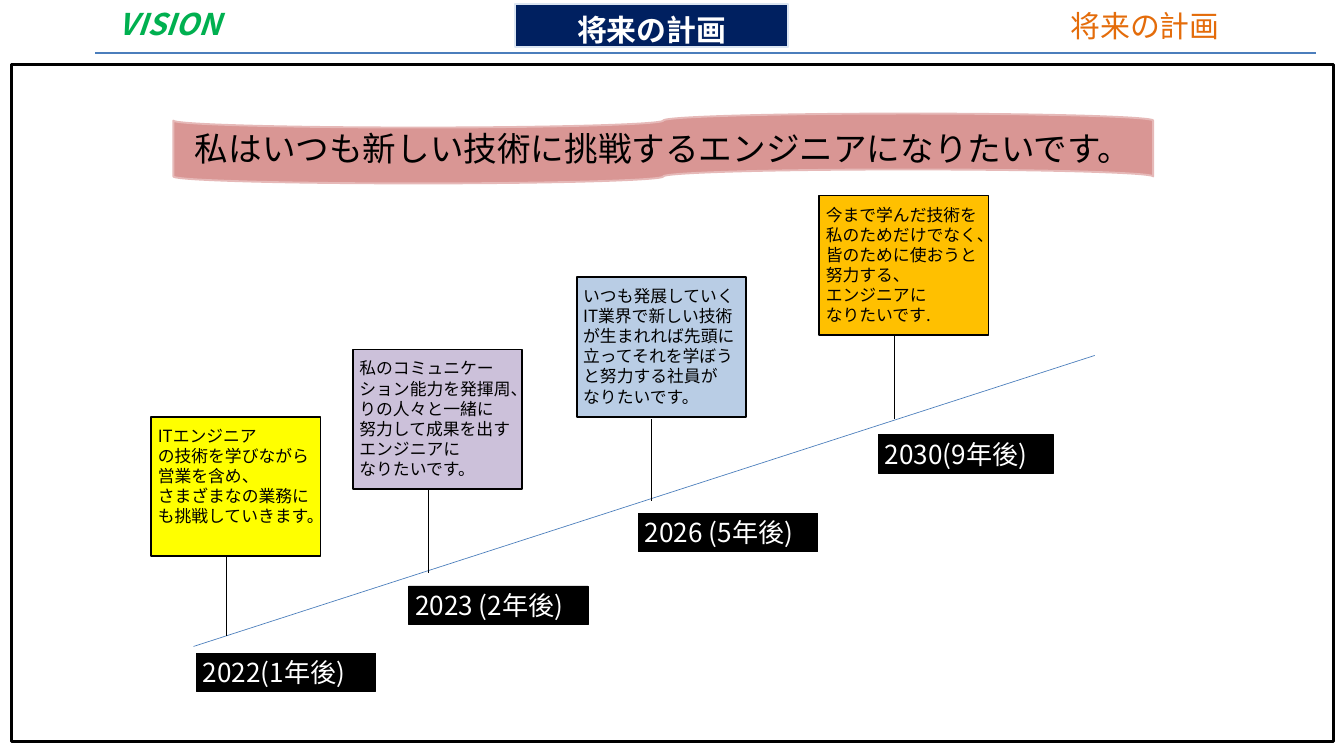
from dataclasses import dataclass

from lxml import etree
from pptx import Presentation
from pptx.dml.color import RGBColor
from pptx.enum.shapes import MSO_CONNECTOR, MSO_SHAPE
from pptx.enum.text import MSO_ANCHOR, MSO_AUTO_SIZE, PP_ALIGN
from pptx.oxml.ns import qn
from pptx.util import Inches, Pt

STRAIGHT = MSO_CONNECTOR.STRAIGHT
RECTANGLE = MSO_SHAPE.RECTANGLE
WAVE = MSO_SHAPE.FLOWCHART_PUNCHED_TAPE
TOP = MSO_ANCHOR.TOP
NO_AUTOFIT = MSO_AUTO_SIZE.NONE
LEFT, CENTER = PP_ALIGN.LEFT, PP_ALIGN.CENTER


@dataclass(frozen=True)
class Theme:
    font: str = "Noto Sans CJK JP"
    black: str = "000000"
    white: str = "FFFFFF"
    navy: str = "002060"
    pale_blue: str = "DCE6F2"
    blue: str = "4B7EBC"
    green: str = "00B050"
    orange: str = "E46C0A"
    banner: str = "D99694"
    banner_edge: str = "E6B9B8"
    card_fills: tuple = ("FFFF00", "CCC1DA", "B9CDE5", "FFC000")
    headline_size: int = 36
    header_size: int = 32
    label_size: int = 28
    card_size: int = 18


theme = Theme()


def paint(shape, fill, line, width):
    shape.fill.solid()
    shape.fill.fore_color.rgb = RGBColor.from_string(fill)
    shape.line.color.rgb = RGBColor.from_string(line)
    shape.line.width = Pt(width)
    shape.shadow.inherit = False


def write(shape, lines, size, color, bold=False, italic=False, align=LEFT):
    frame = shape.text_frame
    frame.word_wrap = True
    frame.auto_size = NO_AUTOFIT
    frame.vertical_anchor = TOP
    for index, line in enumerate(lines):
        paragraph = frame.add_paragraph() if index else frame.paragraphs[0]
        paragraph.text = line
        paragraph.alignment = align
        font = paragraph.font
        font.name = theme.font
        font.size = Pt(size)
        font.bold = bold
        font.italic = italic
        font.color.rgb = RGBColor.from_string(color)
        properties = paragraph._p.pPr.find(qn("a:defRPr"))
        etree.SubElement(properties, qn("a:ea")).set("typeface", theme.font)


presentation = Presentation()
presentation.slide_width = Inches(20)
presentation.slide_height = Inches(11.25)
slide = presentation.slides.add_slide(presentation.slide_layouts[5])
shapes = slide.shapes

title = shapes.title
title.left, title.top = Inches(7.67), Inches(0.06)
title.width, title.height = Inches(4.06), Inches(0.64)
paint(title, theme.navy, theme.pale_blue, 2)
write(title, ["将来の計画"], theme.header_size, theme.white, bold=True, align=CENTER)
title.text_frame.margin_top = Inches(0.11)
title.text_frame.margin_bottom = 0

frame_box = shapes.add_shape(RECTANGLE, Inches(0.17), Inches(0.96), Inches(19.67), Inches(10.08))
paint(frame_box, theme.white, theme.black, 3)

banner = shapes.add_shape(WAVE, Inches(2.58), Inches(1.69), Inches(14.58), Inches(1.04))
paint(banner, theme.banner, theme.banner_edge, 2)
headline = shapes.add_textbox(Inches(2.58), Inches(1.85), Inches(16), Inches(0.71))
write(headline, ["私はいつも新しい技術に挑戦するエンジニアになりたいです。"],
      theme.headline_size, theme.black)
headline.text_frame.margin_left = Inches(0.32)

milestones = [
    {"card": (2.25, 6.2), "stem": (8.28, 9.46), "label": (2.92, 9.72, 2.67),
     "year": "2022(1年後)",
     "lines": ["ITエンジニア",
               "の技術を学びながら\n営業を含め、\nさまざまなの業務に",
               "も挑戦していきます。"]},
    {"card": (5.25, 5.2), "stem": (7.28, 8.53), "label": (6.08, 8.72, 2.67),
     "year": "2023 (2年後)",
     "lines": ["私のコミュニケー", "ション能力を発揮周、", "りの人々と一緒に",
               "努力して成果を出す", "エンジニアに", "なりたいです。"]},
    {"card": (8.58, 4.12), "stem": (6.24, 7.46), "label": (9.5, 7.64, 2.67),
     "year": "2026 (5年後)",
     "lines": ["いつも発展していく", "IT業界で新しい技術", "が生まれれば先頭に",
               "立ってそれを学ぼう", "と努力する社員が", "なりたいです。"]},
    {"card": (12.19, 2.91), "stem": (4.99, 6.24), "label": (13.07, 6.47, 2.6),
     "year": "2030(9年後)",
     "lines": ["今まで学んだ技術を", "私のためだけでなく、", "皆のために使おうと",
               "努力する、", "エンジニアに", "なりたいです."]},
]

lines = [
    (1.42, 0.79, 19.58, 0.79, theme.blue, 1.5),
    (2.88, 9.62, 16.29, 5.29, theme.blue, 0.75),
]

for milestone, fill in zip(milestones, theme.card_fills):
    left, top = milestone["card"]
    card = shapes.add_shape(RECTANGLE, Inches(left), Inches(top), Inches(2.52), Inches(2.08))
    paint(card, fill, theme.black, 2)
    card_text = shapes.add_textbox(Inches(left), Inches(top + 0.08), Inches(3.5), Inches(1.92))
    write(card_text, milestone["lines"], theme.card_size, theme.black)

    stem_top, stem_bottom = milestone["stem"]
    stem_x = left + 1.12
    lines.append((stem_x, stem_top, stem_x, stem_bottom, theme.black, 0.75))

    label_left, label_top, label_width = milestone["label"]
    label = shapes.add_shape(RECTANGLE, Inches(label_left), Inches(label_top),
                             Inches(label_width), Inches(0.57))
    paint(label, theme.black, theme.black, 0.75)
    write(label, [milestone["year"]], theme.label_size, theme.white)

for start_x, start_y, end_x, end_y, color, width in lines:
    connector = shapes.add_connector(STRAIGHT, Inches(start_x), Inches(start_y),
                                     Inches(end_x), Inches(end_y))
    connector.line.color.rgb = RGBColor.from_string(color)
    connector.line.width = Pt(width)
    etree.SubElement(connector._element.spPr, qn("a:effectLst"))

vision = shapes.add_textbox(Inches(1.67), Inches(0.04), Inches(4.83), Inches(0.66))
write(vision, ["VISION"], theme.header_size, theme.green, bold=True, italic=True)
section = shapes.add_textbox(Inches(15.83), Inches(0.07), Inches(4.83), Inches(0.64))
write(section, ["将来の計画"], theme.header_size, theme.orange)

presentation.save("out.pptx")
